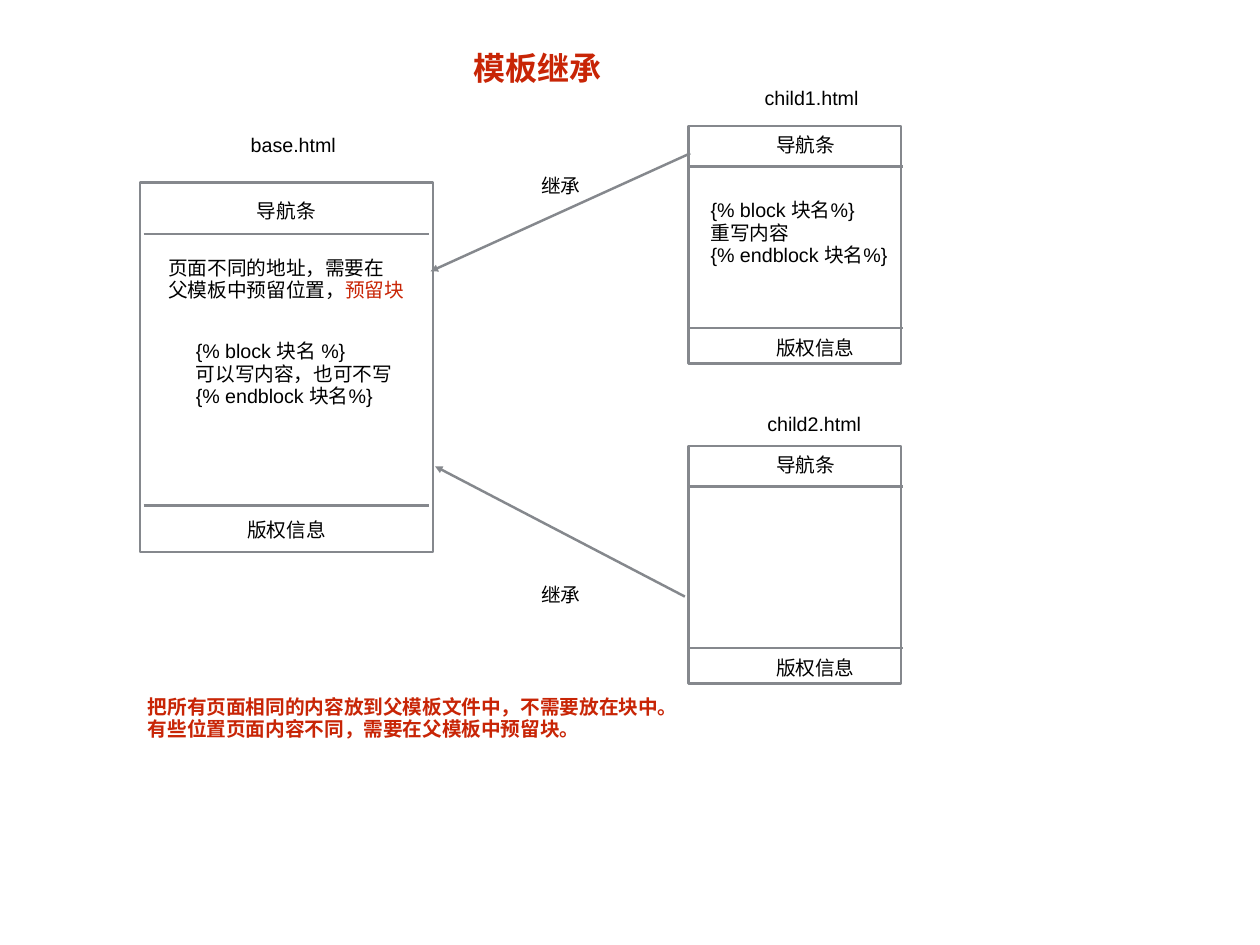
from lxml import etree
from pptx import Presentation
from pptx.dml.color import RGBColor
from pptx.enum.lang import MSO_LANGUAGE_ID
from pptx.enum.shapes import MSO_CONNECTOR, MSO_SHAPE
from pptx.enum.text import MSO_ANCHOR, MSO_AUTO_SIZE
from pptx.oxml.ns import qn
from pptx.util import Inches, Pt

RECTANGLE = MSO_SHAPE.RECTANGLE
STRAIGHT = MSO_CONNECTOR.STRAIGHT
MIDDLE = MSO_ANCHOR.MIDDLE
FIXED_SIZE = MSO_AUTO_SIZE.NONE
CHINESE = MSO_LANGUAGE_ID.SIMPLIFIED_CHINESE

FONT = "Arial"
LINE_WIDTH = Pt(2)
LABEL_HEIGHT = 0.35
COLORS = {"text": "000000", "accent": "C82506", "line": "85888D"}
FRAME_FORMAT = {
    "word_wrap": True, "auto_size": FIXED_SIZE, "vertical_anchor": MIDDLE,
    "margin_left": Inches(0.06), "margin_top": Inches(0.06),
    "margin_right": 0, "margin_bottom": Inches(0.06),
}

BASE_LAYOUT = {
    "dividers": (0.58, 3.64), "divider_span": (0.04, 3.26),
    "file": (1.19, -0.59, 1.14), "header": (1.26, 0.16), "footer": (1.15, 3.76),
}
CHILD_LAYOUT = {
    "dividers": (0.46, 2.28), "divider_span": (0, 2.42),
    "file": (0.81, -0.45, 1.27), "header": (0.93, 0.05), "footer": (0.93, 2.34),
}


def color(name):
    return RGBColor.from_string(COLORS[name])


def add_text(slide, box, paragraphs, size=16, tone="text", bold=False):
    """Place paragraphs; each is a string or a list of (text, colour name) runs."""
    shape = slide.shapes.add_textbox(*map(Inches, box))
    frame = shape.text_frame
    for name, value in FRAME_FORMAT.items():
        setattr(frame, name, value)

    run_format = {"name": FONT, "size": Pt(size), "bold": bold, "language_id": CHINESE}
    for index, content in enumerate(paragraphs):
        paragraph = frame.add_paragraph() if index else frame.paragraphs[0]
        paragraph.line_spacing = 0.9
        paragraph.space_before = Pt(1 if index else 0)
        runs = [(content, tone)] if isinstance(content, str) else content
        for text, run_tone in runs:
            run = paragraph.add_run()
            run.text = text
            for name, value in run_format.items():
                setattr(run.font, name, value)
            run.font.color.rgb = color(run_tone)
            etree.SubElement(run.font._element, qn("a:ea"), typeface=FONT)


def add_line(slide, start, end, arrow=False):
    connector = slide.shapes.add_connector(STRAIGHT, *map(Inches, (*start, *end)))
    connector.line.color.rgb = color("line")
    connector.line.width = LINE_WIDTH
    if arrow:
        etree.SubElement(connector.line._get_or_add_ln(), qn("a:tailEnd"), type="triangle")
    etree.SubElement(connector._element.spPr, qn("a:effectLst"))


def add_page(slide, box, file_name, layout, file_shift=(0, 0)):
    """Draw a template page: outline, header and footer bands, file name above."""
    left, top = box[:2]
    outline = slide.shapes.add_shape(RECTANGLE, *map(Inches, box))
    outline.shadow.inherit = False
    outline.fill.background()
    outline.line.color.rgb = color("line")
    outline.line.width = LINE_WIDTH

    start, end = layout["divider_span"]
    for offset in layout["dividers"]:
        add_line(slide, (left + start, top + offset), (left + end, top + offset))

    file_left, file_top, file_width = layout["file"]
    file_box = (left + file_left + file_shift[0], top + file_top + file_shift[1],
                file_width, LABEL_HEIGHT)
    add_text(slide, file_box, [file_name])
    for band, text, text_width in (("header", "导航条", 0.78), ("footer", "版权信息", 1)):
        x, y = layout[band]
        add_text(slide, (left + x, top + y, text_width, LABEL_HEIGHT), [text])


def add_inheritance(slide, start, end, label_top):
    add_line(slide, start, end, arrow=True)
    add_text(slide, (6.05, label_top, 0.56, LABEL_HEIGHT), ["继承"])


def build_slide(slide):
    add_text(slide, (5.28, 0.54, 1.56, 0.5), ["模板继承"], 26, "accent", True)

    add_page(slide, (1.58, 2.06, 3.31, 4.17), "base.html", BASE_LAYOUT)
    add_text(slide, (1.84, 2.86, 2.77, 0.6), [
        "页面不同的地址，需要在",
        [("父模板中预留位置，", "text"), ("预留块", "accent")],
    ])
    add_text(slide, (2.15, 3.8, 2.33, 0.86),
             ["{% block 块名 %}", "可以写内容，也可不写", "{% endblock 块名%}"])

    add_page(slide, (7.77, 1.42, 2.4, 2.68), "child1.html", CHILD_LAYOUT, (-0.01, -0.03))
    add_text(slide, (7.96, 2.21, 2.26, 0.86),
             ["{% block 块名%}", "重写内容", "{% endblock 块名%}"])
    add_page(slide, (7.77, 5.03, 2.4, 2.68), "child2.html", CHILD_LAYOUT, (0.02, 0.04))

    add_inheritance(slide, (7.79, 1.73), (4.86, 3.06), 1.94)
    add_inheritance(slide, (7.73, 6.73), (4.91, 5.26), 6.55)

    add_text(slide, (1.61, 7.81, 6.1, 0.6), [
        "把所有页面相同的内容放到父模板文件中，不需要放在块中。",
        "有些位置页面内容不同，需要在父模板中预留块。",
    ], tone="accent", bold=True)


def main():
    presentation = Presentation()
    presentation.slide_width = Inches(14.22)
    presentation.slide_height = Inches(10.66)
    build_slide(presentation.slides.add_slide(presentation.slide_layouts[6]))
    presentation.save("out.pptx")


if __name__ == "__main__":
    main()
